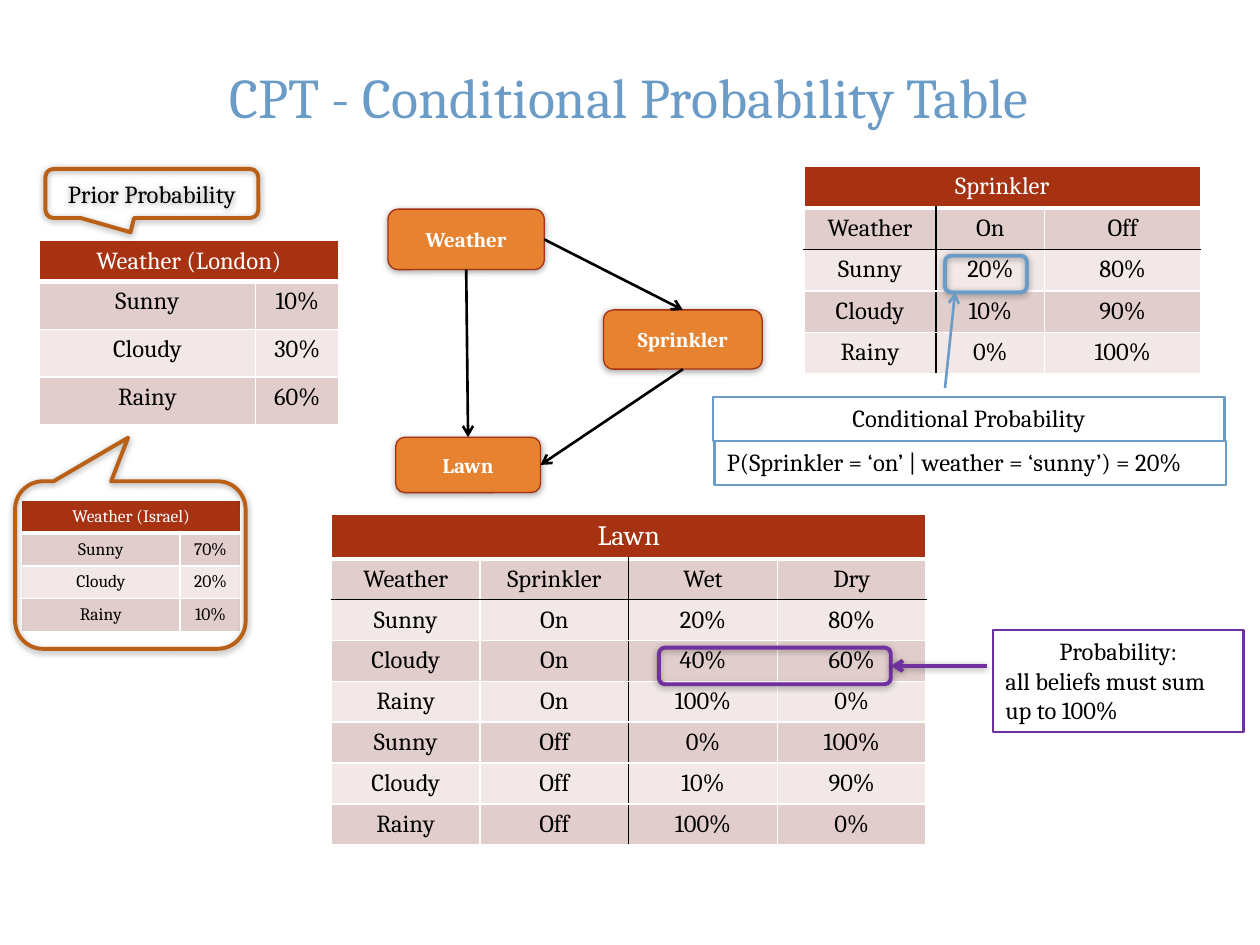
from lxml import etree
from pptx import Presentation
from pptx import util as u
from pptx.dml.color import RGBColor
from pptx.enum import shapes, text
from pptx.oxml.ns import qn

COLORS = {
    "blue": "6B9BC7", "orange": "E68230", "rust": "A63212", "brown": "BA6016",
    "purple": "7030A0", "dark band": "E1CECC", "light band": "F1E8E7",
    "black": "000000", "white": "FFFFFF",
}
RGB = {name: RGBColor.from_string(value) for name, value in COLORS.items()}
CENTER, LEFT = text.PP_ALIGN.CENTER, text.PP_ALIGN.LEFT
MIDDLE, TOP = text.MSO_ANCHOR.MIDDLE, text.MSO_ANCHOR.TOP
SHAPE, STRAIGHT = shapes.MSO_SHAPE, shapes.MSO_CONNECTOR.STRAIGHT
BOTTOM_SIDE, RIGHT_SIDE, TOP_SIDE = 2, 3, 0

deck = Presentation()
deck.slide_width, deck.slide_height = u.Inches(10), u.Inches(7.5)
page = deck.slides.add_slide(deck.slide_layouts[5])
# The page is a grid of 100 columns by 75 rows, with square cells
UNIT = deck.slide_width // 100


def write(frame, lines, size, color, bold=False, align=CENTER):
    frame.word_wrap = True
    frame.text = "\n".join(lines)
    for para in frame.paragraphs:
        para.alignment = align
        para.font.name, para.font.size, para.font.bold = "Cambria", u.Pt(size), bold
        para.font.color.rgb = RGB[color]


def outline(item, color, width, shadow=False, arrow=False):
    """Set the line, its arrowhead and the shadow of a shape or connector."""
    item.line.color.rgb, item.line.width = RGB[color], u.Pt(width)
    if arrow:
        etree.SubElement(item.line._get_or_add_ln(), qn("a:tailEnd"), type="arrow")
    effects = etree.SubElement(item._element.spPr, qn("a:effectLst"))
    if shadow:
        outer = etree.SubElement(effects, qn("a:outerShdw"), blurRad=str(u.Pt(4)),
                                 dist=str(u.Pt(1)), dir="5400000", rotWithShape="0")
        tint = etree.SubElement(outer, qn("a:srgbClr"), val=COLORS["black"])
        etree.SubElement(tint, qn("a:alpha"), val="37000")


# Title
title = page.shapes.title
title.left, title.top, title.width, title.height = (
    round(n * UNIT) for n in (6, -0.3, 87.9, 15.8))
write(title.text_frame, ["CPT - Conditional Probability Table"], 32, "blue")
title.text_frame.vertical_anchor = MIDDLE

# Network of variables
nodes = {}
for name, place in {
    "Weather": (30.8, 16.6, 12.4, 4.8),
    "Lawn": (31.4, 34.7, 11.5, 4.4),
    "Sprinkler": (47.9, 24.6, 12.6, 4.7),
}.items():
    node = page.shapes.add_shape(SHAPE.ROUNDED_RECTANGLE, *(round(n * UNIT) for n in place))
    node.fill.solid()
    node.fill.fore_color.rgb = RGB["orange"]
    outline(node, "rust", 0.75, shadow=True)
    write(node.text_frame, [name], 12, "white", bold=True)
    node.text_frame.vertical_anchor = MIDDLE
    nodes[name] = node

for cause, cause_side, effect, effect_side in (
    ("Weather", BOTTOM_SIDE, "Lawn", TOP_SIDE),
    ("Sprinkler", BOTTOM_SIDE, "Lawn", RIGHT_SIDE),
    ("Weather", RIGHT_SIDE, "Sprinkler", TOP_SIDE),
):
    link = page.shapes.add_connector(STRAIGHT, 0, 0, 0, 0)
    link.begin_connect(nodes[cause], cause_side)
    link.end_connect(nodes[effect], effect_side)
    outline(link, "black", 1.5, arrow=True)

# Probability tables: left, top, column widths, header and body row heights,
# header and body text sizes, number of condition columns, rows
tables = (
    (3.1, 19.1, (17.2, 6.6), 3.2, 3.8, 14, 14, 0, (
        ("Weather (London)",), ("Sunny", "10%"), ("Cloudy", "30%"), ("Rainy", "60%"))),
    (63.8, 13.2, (10.5, 8.6, 12.4), 3.3, 3.3, 14, 14, 1, (
        ("Sprinkler",), ("Weather", "On", "Off"), ("Sunny", "20%", "80%"),
        ("Cloudy", "10%", "90%"), ("Rainy", "0%", "100%"))),
    (26.3, 40.8, (11.8,) * 4, 3, 2.8, 16, 14, 2, (
        ("Lawn",), ("Weather", "Sprinkler", "Wet", "Dry"),
        ("Sunny", "On", "20%", "80%"), ("Cloudy", "On", "40%", "60%"),
        ("Rainy", "On", "100%", "0%"), ("Sunny", "Off", "0%", "100%"),
        ("Cloudy", "Off", "10%", "90%"), ("Rainy", "Off", "100%", "0%"))),
    (1.7, 39.7, (12.6, 4.8), 2.2, 2.2, 10, 10, 0, (
        ("Weather (Israel)",), ("Sunny", "70%"), ("Cloudy", "20%"), ("Rainy", "10%"))),
)
for left, top, widths, head, body, head_size, body_size, conditions, rows in tables:
    height = head + body * (len(rows) - 1)
    table = page.shapes.add_table(
        len(rows), len(widths),
        *(round(n * UNIT) for n in (left, top, sum(widths), height))).table
    table.first_row = table.horz_banding = False
    for column, width in zip(table.columns, widths):
        column.width = round(width * UNIT)
    for r, row in enumerate(rows):
        table.rows[r].height = round((body if r else head) * UNIT)
        for c in range(len(widths)):
            cell = table.cell(r, c)
            split = conditions and r
            sides = {
                "L": "black" if split and c == conditions else "white",
                "R": "black" if split and c == conditions - 1 else "white",
                "T": "black" if conditions and r == 2 else "white",
                "B": "black" if conditions and r == 1 else "white",
            }
            for side, color in sides.items():
                width = 3 if r == 0 and side == "B" else 1
                edge = etree.SubElement(cell._tc.get_or_add_tcPr(), qn(f"a:ln{side}"),
                                        w=str(u.Pt(width)))
                paint = etree.SubElement(edge, qn("a:solidFill"))
                etree.SubElement(paint, qn("a:srgbClr"), val=COLORS[color])
            cell.fill.solid()
            band = "dark band" if r % 2 else "light band"
            cell.fill.fore_color.rgb = RGB[band if r else "rust"]
            if c < len(row):
                write(cell.text_frame, [row[c]], body_size if r else head_size,
                      "black" if r else "white")
    table.cell(0, 0).merge(table.cell(0, len(widths) - 1))

# Callouts and highlights: shape, place, color, pointer, text
marks = []
for kind, place, color, pointer, words in (
    (SHAPE.ROUNDED_RECTANGULAR_CALLOUT, (1.2, 38.2, 18.3, 13.3), "brown", (-0.01, -0.76), ""),
    (SHAPE.ROUNDED_RECTANGULAR_CALLOUT, (3.6, 13.4, 16.9, 3.9), "brown", (-0.1, 0.79),
     "Prior Probability"),
    (SHAPE.ROUNDED_RECTANGLE, (75, 20.3, 6.5, 2.9), "blue", (), ""),
    (SHAPE.ROUNDED_RECTANGLE, (52.3, 51.4, 18.4, 2.9), "purple", (), ""),
):
    mark = page.shapes.add_shape(kind, *(round(n * UNIT) for n in place))
    for index, value in enumerate(pointer):
        mark.adjustments[index] = value
    mark.fill.background()
    outline(mark, color, 2.25, shadow=True)
    if words:
        write(mark.text_frame, [words], 14, "black")
        mark.text_frame.vertical_anchor = MIDDLE
    marks.append(mark)

# Notes beside the tables
for place, color, lines, first_align in (
    ((56.7, 35, 40.6, 3.5), "blue", ["P(Sprinkler = ‘on’ | weather = ‘sunny’) = 20%"], LEFT),
    ((56.6, 31.5, 40.6, 3.5), "blue", ["Conditional Probability"], CENTER),
    ((78.8, 50, 19.9, 8.1), "purple",
     ["Probability:", "all beliefs must sum up to 100%"], CENTER),
):
    note = page.shapes.add_textbox(*(round(n * UNIT) for n in place))
    write(note.text_frame, lines, 14, "black", align=LEFT)
    note.text_frame.paragraphs[0].alignment = first_align
    note.text_frame.vertical_anchor = TOP
    note.text_frame.auto_size = text.MSO_AUTO_SIZE.SHAPE_TO_FIT_TEXT
    outline(note, color, 1.5)

# Arrows from the notes to the highlights
pointer = page.shapes.add_connector(
    STRAIGHT, *(round(n * UNIT) for n in (75, 30.8, 75.8, 23.2)))
outline(pointer, "blue", 1.5, arrow=True)
pointer = page.shapes.add_connector(
    STRAIGHT, *(round(n * UNIT) for n in (78.3, 52.85, 70.7, 52.85)))
pointer.end_connect(marks[-1], RIGHT_SIDE)
outline(pointer, "purple", 2.25, shadow=True, arrow=True)

deck.save("out.pptx")
